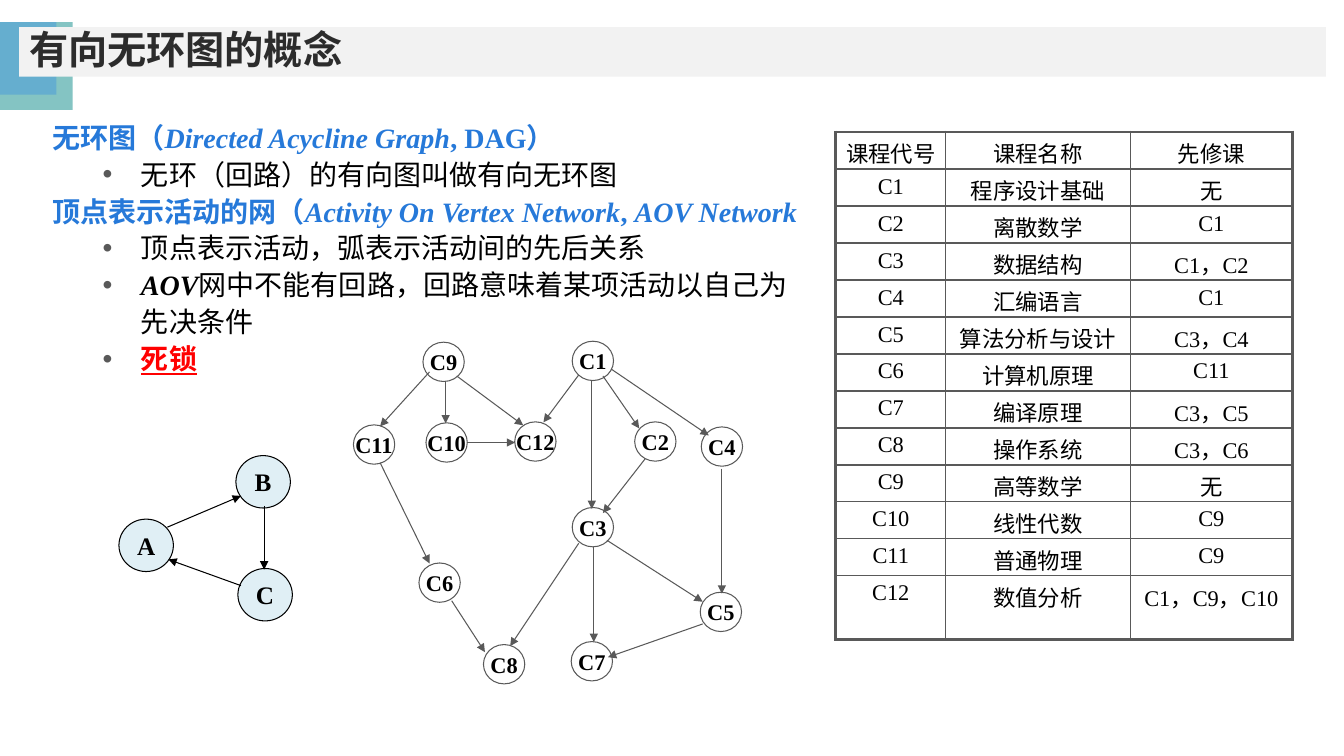
from lxml.etree import SubElement as Sub
from pptx import Presentation
from pptx.dml.color import RGBColor as RGB
from pptx.enum.shapes import MSO_CONNECTOR as Link, MSO_SHAPE as Shape
from pptx.enum.text import MSO_ANCHOR as Anchor, MSO_AUTO_SIZE as Auto, PP_ALIGN as Align
from pptx.oxml import parse_xml
from pptx.oxml.ns import nsdecls, qn
from pptx.util import Inches, Pt

HUES = {
    "ink": "000000", "title": "2C2C2C", "blue": "2679D9", "red": "FF0000",
    "gray": "595959", "bar": "F2F2F2", "teal": "84C4C3", "sky": "65AECF",
    "pale": "E0EFF5", "white": "FFFFFF",
}
SERIF, HAN = "Times New Roman", "Noto Sans CJK SC"

TITLE = "有向无环图的概念"
# Each paragraph: (is bullet, runs); each run: (text, style letters, colour)
NOTES = [
    (False, [("无环图（", "b", "blue"), ("Directed Acycline Graph", "bi", "blue"),
             (", DAG）", "b", "blue")]),
    (True, [("无环（回路）的有向图叫做有向无环图", "", "ink")]),
    (False, [("顶点表示活动的网（", "b", "blue"), ("Activity On Vertex Network", "bi", "blue"),
             (", ", "b", "blue"), ("AOV Network", "bi", "blue")]),
    (True, [("顶点表示活动，弧表示活动间的先后关系", "", "ink")]),
    (True, [("AOV", "bi", "ink"),
            ("网中不能有回路，回路意味着某项活动以自己为先决条件", "", "ink")]),
    (True, [("死锁", "bu", "red")]),
]

# Centres of the nodes
COURSES = {
    "C1": (5.88, 3.58), "C2": (6.5, 4.38), "C3": (5.88, 5.23), "C4": (7.16, 4.43),
    "C5": (7.15, 6.07), "C6": (4.36, 5.78), "C7": (5.87, 6.56), "C8": (5, 6.59),
    "C9": (4.4, 3.59), "C10": (4.43, 4.39), "C11": (3.71, 4.41), "C12": (5.31, 4.38),
}
ARCS = [
    (5.87, 3.77, 5.87, 5.05), (5.98, 3.73, 6.34, 4.25), (6.4, 4.55, 5.98, 5.09),
    (6.06, 3.66, 7.03, 4.32), (7.16, 4.65, 7.16, 5.89), (6.02, 5.36, 6.97, 5.97),
    (5.89, 5.43, 5.89, 6.37), (6.97, 6.19, 6.03, 6.52), (5.74, 3.72, 5.39, 4.19),
    (4.53, 3.73, 5.19, 4.22), (4.42, 3.79, 4.42, 4.2), (4.63, 4.39, 5.11, 4.39),
    (4.26, 3.69, 3.77, 4.23), (3.77, 4.59, 4.26, 5.59), (4.48, 5.96, 4.81, 6.47),
    (5.74, 5.39, 5.06, 6.41),
]
CYCLE = {"A": (1.45, 5.41), "C": (2.63, 5.9), "B": (2.61, 4.78)}
TURNS = [(1.66, 5.23, 2.39, 4.92), (2.39, 5.81, 1.67, 5.55), (2.62, 5.02, 2.62, 5.65)]

ROWS = [
    ("课程代号", "课程名称", "先修课"), ("C1", "程序设计基础", "无"),
    ("C2", "离散数学", "C1"), ("C3", "数据结构", "C1，C2"), ("C4", "汇编语言", "C1"),
    ("C5", "算法分析与设计", "C3，C4"), ("C6", "计算机原理", "C11"),
    ("C7", "编译原理", "C3，C5"), ("C8", "操作系统", "C3，C6"), ("C9", "高等数学", "无"),
    ("C10", "线性代数", "C9"), ("C11", "普通物理", "C9"), ("C12", "数值分析", "C1，C9，C10"),
]
WIDTHS = [1.09, 1.83, 1.61]


def hue(name):
    return RGB.from_string(HUES[name])


class Board:
    def __init__(self, slide):
        self.slide = slide
        self.layer = slide.shapes

    def group(self):
        """Send the next shapes to a new group."""
        self.layer = self.slide.shapes.add_group_shape().shapes

    def loose(self):
        """Send the next shapes straight to the slide."""
        self.layer = self.slide.shapes

    def style(self, run, size, color="ink", marks="b", face=SERIF):
        font = run.font
        font.name, font.size = face, Pt(size)
        font.bold, font.italic, font.underline = (m in marks for m in "biu")
        font.color.rgb = hue(color)
        Sub(run._r.get_or_add_rPr(), qn("a:ea")).set("typeface", HAN)

    def block(self, kind, left, top, width, height, fill, line=None):
        shape = self.layer.add_shape(kind, *map(Inches, (left, top, width, height)))
        shape.shadow.inherit = False
        shape.fill.solid()
        shape.fill.fore_color.rgb = hue(fill)
        if line:
            shape.line.color.rgb = hue(line)
            shape.line.width = Pt(0.75)
        else:
            shape.line.fill.background()
        return shape

    def title(self, text):
        frame = self.block(Shape.RECTANGLE, 0.19, 0.27, 12.96, 0.49, "bar").text_frame
        frame.text = text
        frame.vertical_anchor = Anchor.MIDDLE
        para = frame.paragraphs[0]
        para.alignment, para.line_spacing = Align.LEFT, 0.9
        self.style(para.runs[0], 28, "title", face="Arial")

    def node(self, name, spot, width, height, size, fill, line):
        x, y = spot
        shape = self.block(Shape.OVAL, x - width / 2, y - height / 2,
                           width, height, fill, line)
        frame = shape.text_frame
        frame.text = name
        frame.word_wrap = False
        frame.vertical_anchor = Anchor.MIDDLE
        para = frame.paragraphs[0]
        para.alignment = Align.CENTER
        self.style(para.runs[0], size)

    def arrow(self, ends, color):
        link = self.layer.add_connector(Link.STRAIGHT, *map(Inches, ends))
        link.line.color.rgb = hue(color)
        link.line.width = Pt(0.75)
        Sub(link.line._get_or_add_ln(), qn("a:tailEnd")).set("type", "triangle")
        Sub(link._element.spPr, qn("a:effectLst"))

    def graph(self, nodes, arcs, width, height, size, fill, line):
        self.group()
        for name, spot in nodes.items():
            self.node(name, spot, width, height, size, fill, line)
        for ends in arcs:
            self.arrow(ends, line)
        self.loose()

    def bullet(self, para):
        para.level = 1
        props = para._p.get_or_add_pPr()
        props.set("marL", str(Inches(0.88)))
        props.set("indent", str(Inches(-0.38)))
        color = Sub(props, qn("a:buClr"))
        Sub(color, qn("a:srgbClr")).set("val", HUES["gray"])
        Sub(props, qn("a:buFont")).set("typeface", "Arial")
        Sub(props, qn("a:buChar")).set("char", "•")

    def notes(self, items):
        box = self.layer.add_textbox(*map(Inches, (0.42, 1.11, 7.68, 2.66)))
        frame = box.text_frame
        frame.word_wrap = True
        frame.auto_size = Auto.SHAPE_TO_FIT_TEXT
        for i, (dot, runs) in enumerate(items):
            para = frame.add_paragraph() if i else frame.paragraphs[0]
            para.line_spacing = 1.1
            if dot:
                self.bullet(para)
            for text, marks, color in runs:
                run = para.add_run()
                run.text = text
                self.style(run, 20, color, marks)

    def edge(self, cell, sides):
        """Draw borders: sides maps L, R, T, B to points."""
        props = cell._tc.get_or_add_tcPr()
        for i, (side, width) in enumerate(sides.items()):
            props.insert(i, parse_xml(
                f'<a:ln{side} {nsdecls("a")} w="{Pt(width)}"><a:solidFill>'
                f'<a:srgbClr val="{HUES["gray"]}"/></a:solidFill></a:ln{side}>'))

    def table(self, rows, widths):
        last, end = len(rows) - 1, len(widths) - 1
        grid = self.layer.add_table(
            len(rows), len(widths), Inches(8.29), Inches(1.31),
            Inches(sum(widths)), Inches(0.33 * len(rows))).table
        grid.first_row = grid.horz_banding = False
        for col, width in zip(grid.columns, widths):
            col.width = Inches(width)
        for r, row in enumerate(rows):
            for c, text in enumerate(row):
                cell = grid.cell(r, c)
                cell.text = text
                cell.fill.solid()
                cell.fill.fore_color.rgb = hue("white")
                para = cell.text_frame.paragraphs[0]
                para.alignment = Align.CENTER
                self.style(para.runs[0], 16, marks="")
                outer = {"L": c == 0, "R": c == end, "T": r == 0, "B": r == last}
                self.edge(cell, {s: 2.25 if out else 1 for s, out in outer.items()})


def main():
    deck = Presentation()
    deck.slide_width, deck.slide_height = Inches(13.33), Inches(7.5)
    board = Board(deck.slides.add_slide(deck.slide_layouts[6]))
    board.group()
    board.block(Shape.RECTANGLE, 0, 0.22, 0.72, 0.87, "teal")
    board.block(Shape.RECTANGLE, 0, 0.22, 0.56, 0.72, "sky")
    board.loose()
    board.title(TITLE)
    board.notes(NOTES)
    board.graph(COURSES, ARCS, 0.41, 0.39, 16, "white", "gray")
    board.table(ROWS, WIDTHS)
    board.graph(CYCLE, TURNS, 0.54, 0.52, 18, "pale", "ink")
    deck.save("out.pptx")


if __name__ == "__main__":
    main()
